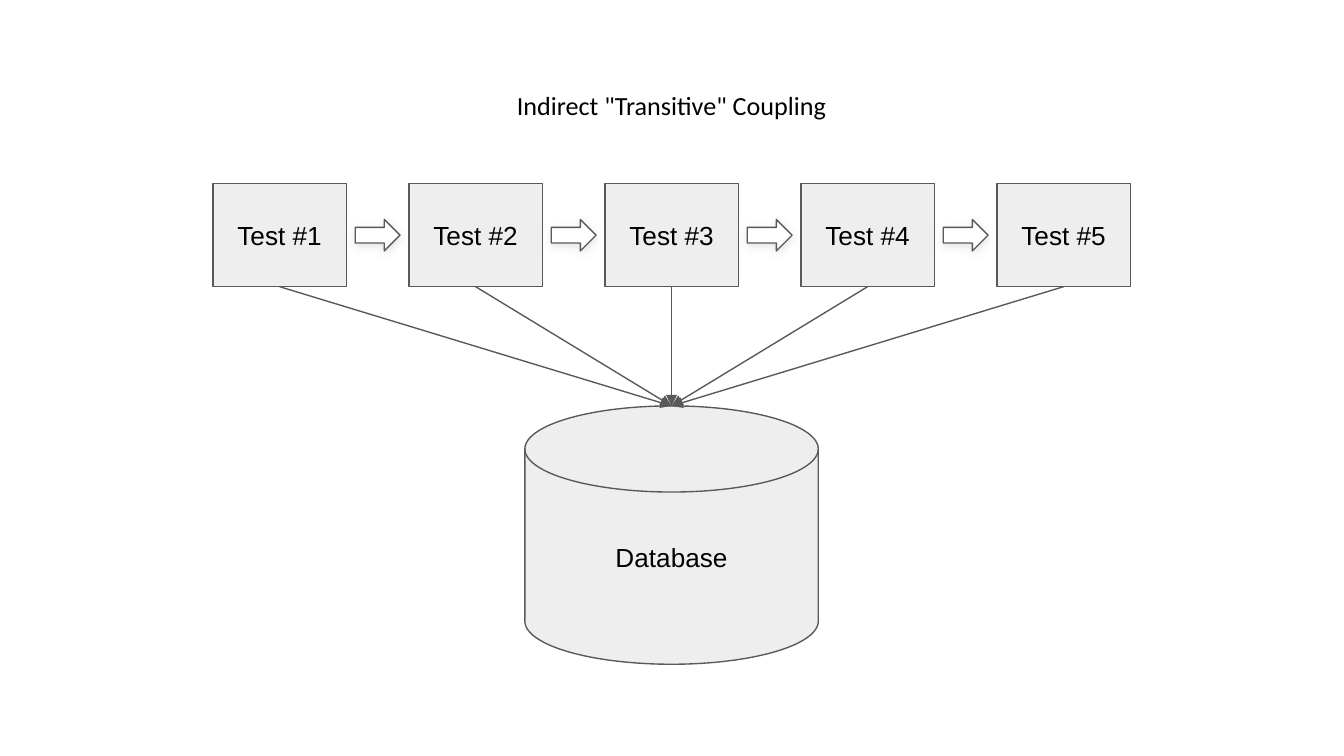
import pptx
import pptx.dml.color
import pptx.enum.shapes
import pptx.enum.text
import pptx.oxml
import pptx.oxml.ns
import pptx.util

Pt = pptx.util.Pt
Shape = pptx.enum.shapes.MSO_SHAPE
Anchor = pptx.enum.text.MSO_ANCHOR
AutoSize = pptx.enum.text.MSO_AUTO_SIZE
NAMESPACE = pptx.oxml.ns.nsdecls("a")

GREY, WHITE, LINE, BLACK, SHADOW = "EEEEEE", "FFFFFF", "595959", "000000", "CCCCCC"
CENTER = 359.8
PITCH = 105
TEST_COUNT = 5
TEST_WIDTH, TEST_HEIGHT, TEST_TOP = 71.4, 55.2, 98.4
ARROW_WIDTH, ARROW_HEIGHT, ARROW_GAP = 24, 16.8, 4.8
DATABASE_WIDTH, DATABASE_HEIGHT, DATABASE_TOP = 157.2, 138.4, 217.5
TITLE_WIDTH, TITLE_HEIGHT, TITLE_TOP = 491.6, 31.6, 40.5


def color(value):
    return pptx.dml.color.RGBColor.from_string(value)


def set_attributes(target, values):
    for name, value in values.items():
        setattr(target, name, value)


def set_line(line):
    line.color.rgb = color(LINE)
    line.width = Pt(0.75)


def write_text(shape, text, font_name, **frame_values):
    margins = dict.fromkeys(
        ("margin_left", "margin_top", "margin_right", "margin_bottom"), Pt(7.2)
    )
    set_attributes(shape.text_frame, {"word_wrap": True, **margins, **frame_values})
    paragraph = shape.text_frame.paragraphs[0]
    paragraph.text = text
    paragraph.alignment = pptx.enum.text.PP_ALIGN.CENTER
    set_attributes(paragraph.font, {"name": font_name, "size": Pt(14)})
    paragraph.font.color.rgb = color(BLACK)


def add_outlined_shape(slide, kind, left, top, width, height, fill):
    shape = slide.shapes.add_shape(kind, Pt(left), Pt(top), Pt(width), Pt(height))
    shape.shadow.inherit = False
    shape.fill.solid()
    shape.fill.fore_color.rgb = color(fill)
    set_line(shape.line)
    return shape


def add_labelled_shape(slide, kind, center, top, width, height, text):
    shape = add_outlined_shape(
        slide, kind, center - width / 2, top, width, height, GREY
    )
    write_text(shape, text, "Arial", vertical_anchor=Anchor.MIDDLE)


def add_dependency(slide, start_x, start_y, end_x, end_y):
    connector = slide.shapes.add_connector(
        pptx.enum.shapes.MSO_CONNECTOR.STRAIGHT,
        Pt(start_x), Pt(start_y), Pt(end_x), Pt(end_y),
    )
    set_line(connector.line)
    connector.line._get_or_add_ln().append(
        pptx.oxml.parse_xml(f'<a:tailEnd {NAMESPACE} type="triangle"/>')
    )
    connector._element.spPr.append(
        pptx.oxml.parse_xml(f"<a:effectLst {NAMESPACE}/>")
    )


def add_block_arrow(slide, left, top):
    arrow = add_outlined_shape(
        slide, Shape.RIGHT_ARROW, left, top, ARROW_WIDTH, ARROW_HEIGHT, WHITE
    )
    effects = arrow._element.spPr.find(pptx.oxml.ns.qn("a:effectLst"))
    effects.append(pptx.oxml.parse_xml(
        f'<a:outerShdw {NAMESPACE} blurRad="{Pt(4.5)}" dist="{Pt(1.5)}" '
        f'dir="5400000" algn="bl" rotWithShape="0"><a:srgbClr val="{SHADOW}">'
        '<a:alpha val="50000"/></a:srgbClr></a:outerShdw>'
    ))


def add_title(slide, text):
    title = slide.shapes.add_textbox(
        Pt(CENTER - TITLE_WIDTH / 2), Pt(TITLE_TOP), Pt(TITLE_WIDTH), Pt(TITLE_HEIGHT)
    )
    write_text(title, text, "Calibri", auto_size=AutoSize.SHAPE_TO_FIT_TEXT)


def main():
    presentation = pptx.Presentation()
    set_attributes(presentation, {"slide_width": Pt(720), "slide_height": Pt(405)})
    slide = presentation.slides.add_slide(presentation.slide_layouts[6])
    test_centers = [
        CENTER + (index - (TEST_COUNT - 1) / 2) * PITCH for index in range(TEST_COUNT)
    ]

    add_labelled_shape(
        slide, Shape.FLOWCHART_MAGNETIC_DISK, CENTER, DATABASE_TOP,
        DATABASE_WIDTH, DATABASE_HEIGHT, "Database",
    )
    for number, center in enumerate(test_centers, 1):
        add_labelled_shape(
            slide, Shape.RECTANGLE, center, TEST_TOP,
            TEST_WIDTH, TEST_HEIGHT, f"Test #{number}",
        )
    for center in test_centers:
        add_dependency(slide, center, TEST_TOP + TEST_HEIGHT, CENTER, DATABASE_TOP)
    for center in test_centers[:-1]:
        add_block_arrow(
            slide, center + TEST_WIDTH / 2 + ARROW_GAP,
            TEST_TOP + (TEST_HEIGHT - ARROW_HEIGHT) / 2,
        )
    add_title(slide, 'Indirect "Transitive" Coupling')
    presentation.save("out.pptx")


if __name__ == "__main__":
    main()
